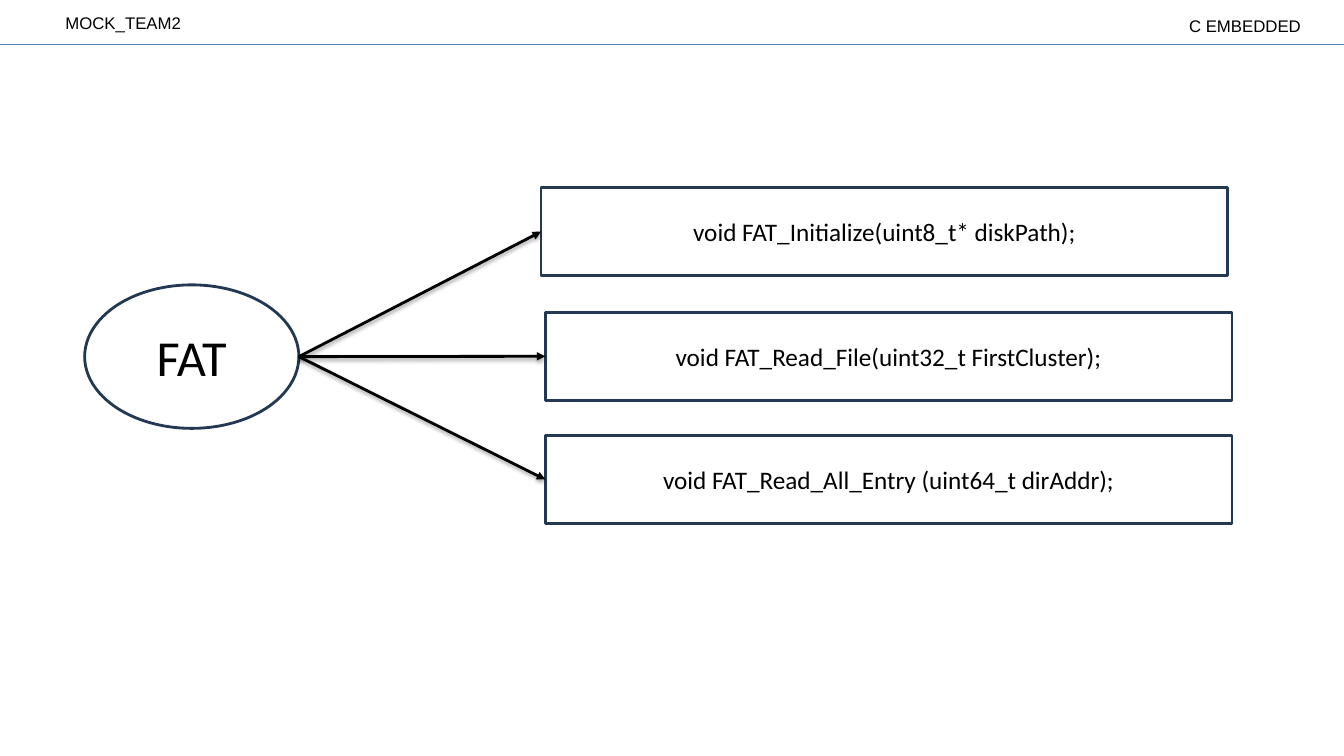
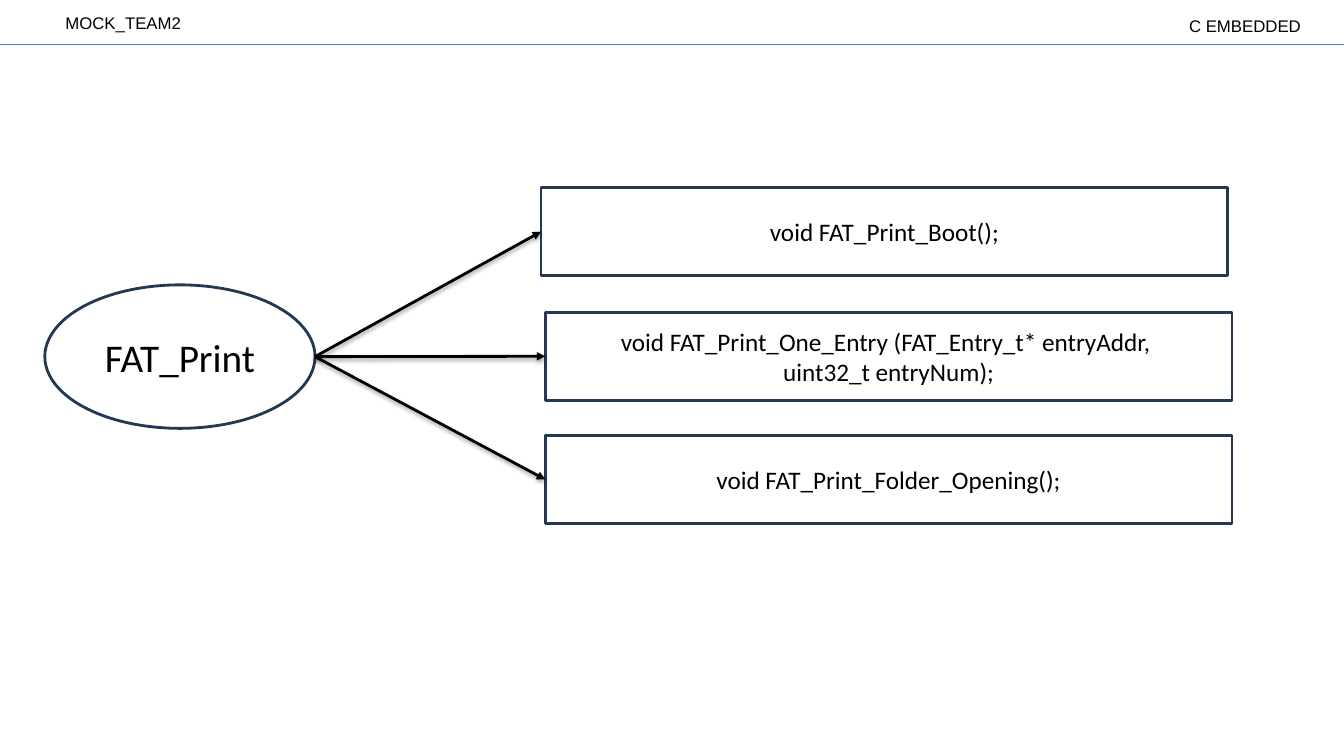
"""Two slides that map the FAT modules to their functions."""
from dataclasses import dataclass

from lxml import etree
from pptx import Presentation
from pptx.dml.color import RGBColor
from pptx.enum.shapes import MSO_CONNECTOR, MSO_SHAPE
from pptx.enum.text import MSO_ANCHOR, PP_ALIGN
from pptx.oxml import parse_xml
from pptx.oxml.ns import nsdecls, qn
from pptx.util import Pt


@dataclass(frozen=True)
class Theme:
    ink: RGBColor = RGBColor(0x00, 0x00, 0x00)
    paper: RGBColor = RGBColor(0xFF, 0xFF, 0xFF)
    edge: RGBColor = RGBColor(0x23, 0x39, 0x53)
    rule: RGBColor = RGBColor(0x4B, 0x7E, 0xBC)
    body: str = "Calibri"
    head: str = "Arial"
    small: int = 12
    text: int = 18
    stroke: float = 2
    thin: float = 0.75


theme = Theme()
SHADOW = f"""<a:effectLst {nsdecls("a")}>
  <a:outerShdw blurRad="{Pt(3.1)}" dist="{Pt(1.6)}" dir="5400000" rotWithShape="0">
    <a:srgbClr val="{theme.ink}"><a:alpha val="38000"/></a:srgbClr>
  </a:outerShdw>
</a:effectLst>"""


def write(shape, text, font, size, align):
    frame = shape.text_frame
    frame.word_wrap = True
    frame.text = text
    for para in frame.paragraphs:
        para.alignment = align
        for run in para.runs:
            run.font.name = font
            run.font.size = Pt(size)
            run.font.color.rgb = theme.ink


def node(slide, kind, left, top, width, height, text, size):
    shape = slide.shapes.add_shape(kind, Pt(left), Pt(top), Pt(width), Pt(height))
    shape.shadow.inherit = False
    shape.fill.solid()
    shape.fill.fore_color.rgb = theme.paper
    shape.line.color.rgb = theme.edge
    shape.line.width = Pt(theme.stroke)
    shape.text_frame.vertical_anchor = MSO_ANCHOR.MIDDLE
    write(shape, text, theme.body, size, PP_ALIGN.CENTER)
    return shape


HEADS = [
    ("C EMBEDDED", 553.5, 8.5, 49, PP_ALIGN.RIGHT),
    ("MOCK_TEAM2", 41.5, 6.5, 34.5, PP_ALIGN.LEFT),
]
SPOTS = [(386.5, 134), (389.5, 223), (389.5, 311)]
SLIDES = [
    ("FAT", 36, 60.5, 153, [
        "void FAT_Initialize(uint8_t* diskPath);",
        "void FAT_Read_File(uint32_t FirstCluster);",
        "void FAT_Read_All_Entry (uint64_t dirAddr);",
    ]),
    ("FAT_Print", 28, 32, 193, [
        "void FAT_Print_Boot();",
        "void FAT_Print_One_Entry (FAT_Entry_t* entryAddr, \nuint32_t entryNum);",
        "void FAT_Print_Folder_Opening();",
    ]),
]

deck = Presentation()
deck.slide_width, deck.slide_height = Pt(960), Pt(540)

for name, size, left, width, calls in SLIDES:
    slide = deck.slides.add_slide(deck.slide_layouts[6])

    rule = slide.shapes.add_connector(
        MSO_CONNECTOR.STRAIGHT, 0, Pt(31.75), deck.slide_width, Pt(31.75))
    rule.line.color.rgb = theme.rule
    rule.line.width = Pt(theme.thin)
    etree.SubElement(rule._element.spPr, qn("a:effectLst"))

    for label, x, y, height, align in HEADS:
        box = slide.shapes.add_textbox(Pt(x), Pt(y), Pt(381), Pt(height))
        frame = box.text_frame
        frame.margin_left = frame.margin_right = Pt(5.2)
        frame.margin_top = frame.margin_bottom = Pt(2.6)
        write(box, label, theme.head, theme.small, align)

    hub = node(slide, MSO_SHAPE.OVAL, left, 203.5, width, 102.5, name, size)
    boxes = [node(slide, MSO_SHAPE.RECTANGLE, x, y, 490.5, 63, call, theme.text)
             for (x, y), call in zip(SPOTS, calls)]

    start, mid = hub.left + hub.width, hub.top + hub.height // 2
    for box in boxes:
        arrow = slide.shapes.add_connector(
            MSO_CONNECTOR.STRAIGHT, start, mid, box.left, box.top + box.height // 2)
        arrow.end_connect(box, 1)
        arrow.line.color.rgb = theme.ink
        arrow.line.width = Pt(theme.stroke)
        etree.SubElement(arrow.line._get_or_add_ln(), qn("a:tailEnd"), type="triangle")
        arrow._element.spPr.append(parse_xml(SHADOW))

deck.save("out.pptx")
